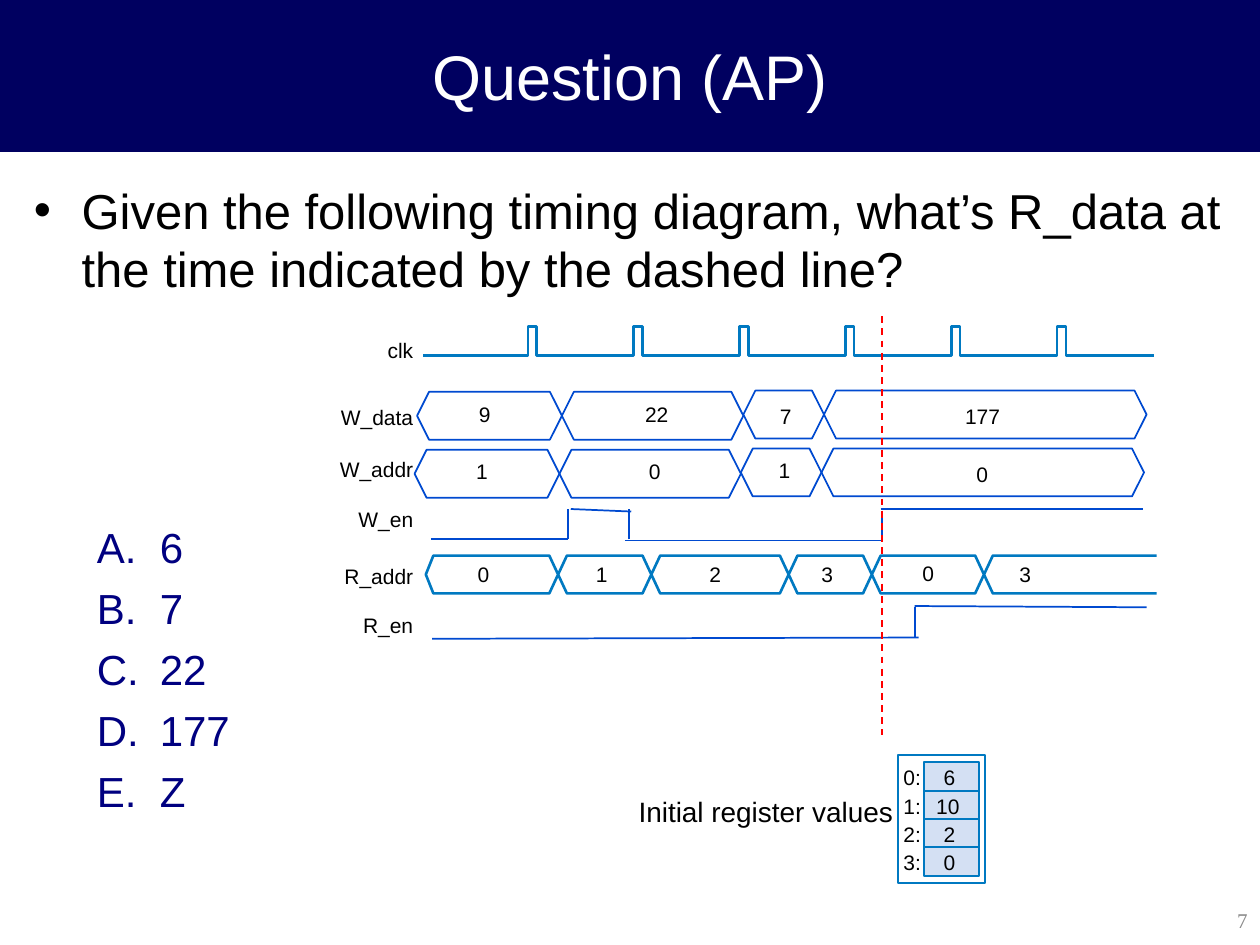
from dataclasses import dataclass

from lxml import etree
from pptx import Presentation
from pptx.dml.color import RGBColor
from pptx.enum.dml import MSO_LINE
from pptx.enum.shapes import MSO_CONNECTOR, MSO_SHAPE
from pptx.enum.text import MSO_ANCHOR, PP_ALIGN
from pptx.oxml.ns import qn
from pptx.util import Inches, Pt

RECT, HEXAGON = MSO_SHAPE.RECTANGLE, MSO_SHAPE.HEXAGON
STRAIGHT, DASH = MSO_CONNECTOR.STRAIGHT, MSO_LINE.DASH
LEFT, CENTER, RIGHT = PP_ALIGN.LEFT, PP_ALIGN.CENTER, PP_ALIGN.RIGHT
TOP, MIDDLE = MSO_ANCHOR.TOP, MSO_ANCHOR.MIDDLE


@dataclass(frozen=True)
class Theme:
    """Colours, fonts and type sizes of the slide."""
    navy: str = "000060"
    answer: str = "000080"
    black: str = "000000"
    white: str = "FFFFFF"
    grey: str = "898989"
    teal: str = "0079C1"
    blue: str = "004AD0"
    red: str = "FF0000"
    cell: str = "D4E0F3"
    sans: str = "Arial"
    serif: str = "Times New Roman"
    title: int = 36
    body: int = 28
    option: int = 24
    caption: int = 16
    small: int = 12


T = Theme()


def rgb(color):
    """Turn a hex string into a colour."""
    return RGBColor.from_string(color)


def add_run(p, text, size, color, font=T.sans):
    """Add a formatted run to a paragraph."""
    r = p.add_run()
    r.text = text
    r.font.size, r.font.name = Pt(size), font
    r.font.color.rgb = rgb(color)


def add_text(shapes, box, text, size=T.small, color=T.black, font=T.sans,
             align=LEFT, anchor=TOP, wrap=True, inset=(0, 0)):
    """Add a text box holding one paragraph."""
    tf = shapes.add_textbox(*map(Inches, box)).text_frame
    tf.word_wrap, tf.vertical_anchor = wrap, anchor
    tf.margin_left = tf.margin_right = Inches(inset[0])
    tf.margin_top = tf.margin_bottom = Inches(inset[1])
    p = tf.paragraphs[0]
    p.alignment = align
    add_run(p, text, size, color, font)


def add_value(shapes, x, y, text):
    """Add a short value whose box fits its characters."""
    add_text(shapes, (x, y, 0.1 * len(text), 0.2), text, wrap=False)


def style(sp, line, width, fill=None):
    """Set the outline and fill of a shape and remove its shadow."""
    sp.shadow.inherit = False
    sp.line.color.rgb, sp.line.width = rgb(line), Pt(width)
    if fill:
        sp.fill.solid()
        sp.fill.fore_color.rgb = rgb(fill)
    else:
        sp.fill.background()


def add_box(shapes, kind, box, line, width, fill=None):
    """Add a preset shape."""
    sp = shapes.add_shape(kind, *map(Inches, box))
    style(sp, line, width, fill)
    return sp


def add_line(shapes, start, end, color, width=1, dash=None):
    """Add a straight line between two points."""
    c = shapes.add_connector(STRAIGHT, *map(Inches, (*start, *end)))
    c.line.color.rgb, c.line.width = rgb(color), Pt(width)
    if dash:
        c.line.dash_style = dash
    etree.SubElement(c._element.spPr, qn("a:effectLst"))


def add_trace(shapes, points):
    """Draw an open outline through the points."""
    pts = [(Inches(x), Inches(y)) for x, y in points]
    fb = shapes.build_freeform(*pts[0])
    fb.add_line_segments(pts[1:], close=False)
    style(fb.convert_to_shape(), T.teal, 1.5)


def set_bullet(p, tag, attrs, color, margin, indent):
    """Give a paragraph a hanging bullet or number."""
    pPr = p._p.get_or_add_pPr()
    pPr.set("marL", str(Inches(margin)))
    pPr.set("indent", str(Inches(-indent)))
    clr = etree.SubElement(pPr, qn("a:buClr"))
    etree.SubElement(clr, qn("a:srgbClr"), val=color)
    etree.SubElement(pPr, qn("a:buFont"), typeface=T.sans)
    etree.SubElement(pPr, qn(tag), **attrs)


def title_bar(shapes, box, text):
    """Draw the title band with its heading."""
    add_box(shapes, RECT, box, T.navy, 0.75, T.navy)
    add_text(shapes, box, text, T.title, T.white, align=CENTER, anchor=MIDDLE)


def question(shapes, box, text, options):
    """Write the question and its lettered options."""
    tf = shapes.add_textbox(*map(Inches, box)).text_frame
    tf.word_wrap = True
    p = tf.paragraphs[0]
    set_bullet(p, "a:buChar", {"char": "•"}, T.black, 0.38, 0.38)
    add_run(p, text, T.body, T.black)
    for i, option in enumerate(options):
        p = tf.add_paragraph()
        set_bullet(p, "a:buAutoNum", {"type": "alphaUcPeriod"}, T.answer, 1, 0.5)
        p.space_before = Pt(6 if i else 128)
        add_run(p, option, T.option, T.answer)


def clock(shapes, box, first, step, count, pulse=0.07):
    """Draw a clock with evenly spaced pulses."""
    x, y, w, h = box
    low = y + h
    points = [(x, low)]
    for i in range(count):
        a = x + first + i * step
        points += [(a, low), (a, y), (a + pulse, y), (a + pulse, low)]
    add_trace(shapes, points + [(x + w, low)])


def hexagon_bus(shapes, box, cells):
    """Draw a bus as a row of hexagons; cells hold width, rise, value, offset."""
    x, y, h = box
    for width, rise, value, dx, dy in cells:
        sp = add_box(shapes, HEXAGON, (x, y - rise, width, h), T.blue, 1)
        sp.adjustments[0] = 0.25
        add_value(shapes, x + dx, y + dy, value)
        x += width


def crossing_bus(shapes, box, crossings, values, slant=0.14):
    """Draw a bus whose two edges swap at each crossing."""
    x, y, w, h = box
    edges = (y, y + h)
    rails = []
    for side in (0, 1):
        points = [(x, y + h / 2), (x + 0.06, edges[side])]
        for cross in crossings:
            points.append((x + cross, edges[side]))
            side = 1 - side
            points.append((x + cross + slant, edges[side]))
        rails.append(points + [(x + w, edges[side])])
    add_trace(shapes, rails[0][::-1] + rails[1][1:])
    for dx, dy, value in values:
        add_value(shapes, x + dx, y + dy, value)


def signal(shapes, origin, segments):
    """Draw an enable signal from line segments."""
    x, y = origin
    for x1, y1, x2, y2 in segments:
        add_line(shapes, (x + x1, y + y1), (x + x2, y + y2), T.blue)


def timing_diagram(shapes, box):
    """Place the labelled signals and the dashed time marker."""
    x, y, h = box
    labels = (("clk", 0.17), ("W_data", 0.7), ("W_addr", 1.11),
              ("W_en", 1.51), ("R_addr", 1.96), ("R_en", 2.35))
    for name, dy in labels:
        add_text(shapes, (x, y + dy, 0.6, 0.2), name, align=RIGHT)
    clock(shapes, (x + 0.68, y + 0.08, 5.8, 0.23), 0.83, 0.84, 6)
    hexagon_bus(shapes, (x + 0.63, y + 0.6, 0.38), (
        (1.15, 0, "9", 0.49, 0.08), (1.44, 0, "22", 0.66, 0.08),
        (0.64, 0.01, "7", 0.29, 0.09), (2.56, 0.01, "177", 1.12, 0.09)))
    hexagon_bus(shapes, (x + 0.61, y + 1.06, 0.38), (
        (1.15, 0, "1", 0.49, 0.07), (1.44, 0, "0", 0.71, 0.07),
        (0.64, 0.01, "1", 0.3, 0.06), (2.56, 0.01, "0", 1.23, 0.09)))
    signal(shapes, (x + 0.74, y + 1.53), (
        (0, 0.24, 1.09, 0.24), (1.09, 0.24, 1.09, 0), (1.11, 0, 1.59, 0.02),
        (1.57, 0.24, 1.57, 0), (1.54, 0.25, 3.59, 0.25),
        (3.58, 0.25, 3.58, 0.02), (3.57, 0, 5.65, 0)))
    crossing_bus(shapes, (x + 0.7, y + 1.9, 5.8, 0.3),
                 (0.98, 1.72, 2.81, 3.47, 4.36),
                 ((0.41, 0.05, "0"), (1.35, 0.05, "1"), (2.25, 0.05, "2"),
                  (3.14, 0.05, "3"), (3.94, 0.04, "0"), (4.71, 0.05, "3")))
    signal(shapes, (x + 0.75, y + 2.3), (
        (0, 0.26, 3.86, 0.25), (3.83, 0.25, 3.83, 0.01), (3.83, 0, 5.67, 0.01)))
    add_line(shapes, (x + 4.32, y), (x + 4.32, y + h), T.red, dash=DASH)


def register_file(shapes, box, values):
    """Draw the caption and the register file with its starting values."""
    x, y, w, h = box
    add_text(shapes, (x - 2.16, y + 0.27, 2.36, 0.37), "Initial register values",
             T.caption, inset=(0.1, 0.05))
    g = shapes.add_group_shape().shapes
    add_box(g, RECT, box, T.teal, 1.13)
    left, top, cw, ch = x + 0.2, y + 0.06, 0.44, h - 0.12
    step = ch / len(values)
    add_box(g, RECT, (left, top, cw, ch), T.teal, 1.13, T.cell)
    for i, value in enumerate(values):
        row = top + i * step
        if i:
            add_line(g, (left, row), (left + cw, row), T.teal, 1.13)
        add_text(g, (x + 0.04, row + 0.02, 0.15, 0.2), f"{i}:", wrap=False)
        add_value(g, left + 0.16 - 0.06 * (len(value) - 1), row + 0.02, value)


def main():
    """Build the slide and save it."""
    prs = Presentation()
    prs.slide_width, prs.slide_height = Inches(10), Inches(7.5)
    shapes = prs.slides.add_slide(prs.slide_layouts[6]).shapes
    title_bar(shapes, (0, 0, 10, 1.2), "Question (AP)")
    question(shapes, (0.17, 1.38, 9.66, 5.72),
             "Given the following timing diagram, what’s R_data at "
             "the time indicated by the dashed line?",
             ("6", "7", "22", "177", "Z"))
    timing_diagram(shapes, (2.68, 2.51, 3.32))
    register_file(shapes, (7.13, 5.99, 0.69, 1.02), ("6", "10", "2", "0"))
    add_text(shapes, (7.88, 7.1, 2.12, 0.4), "7", T.small, T.grey, T.serif,
             RIGHT, MIDDLE, inset=(0.1, 0.05))
    prs.save("out.pptx")


if __name__ == "__main__":
    main()
